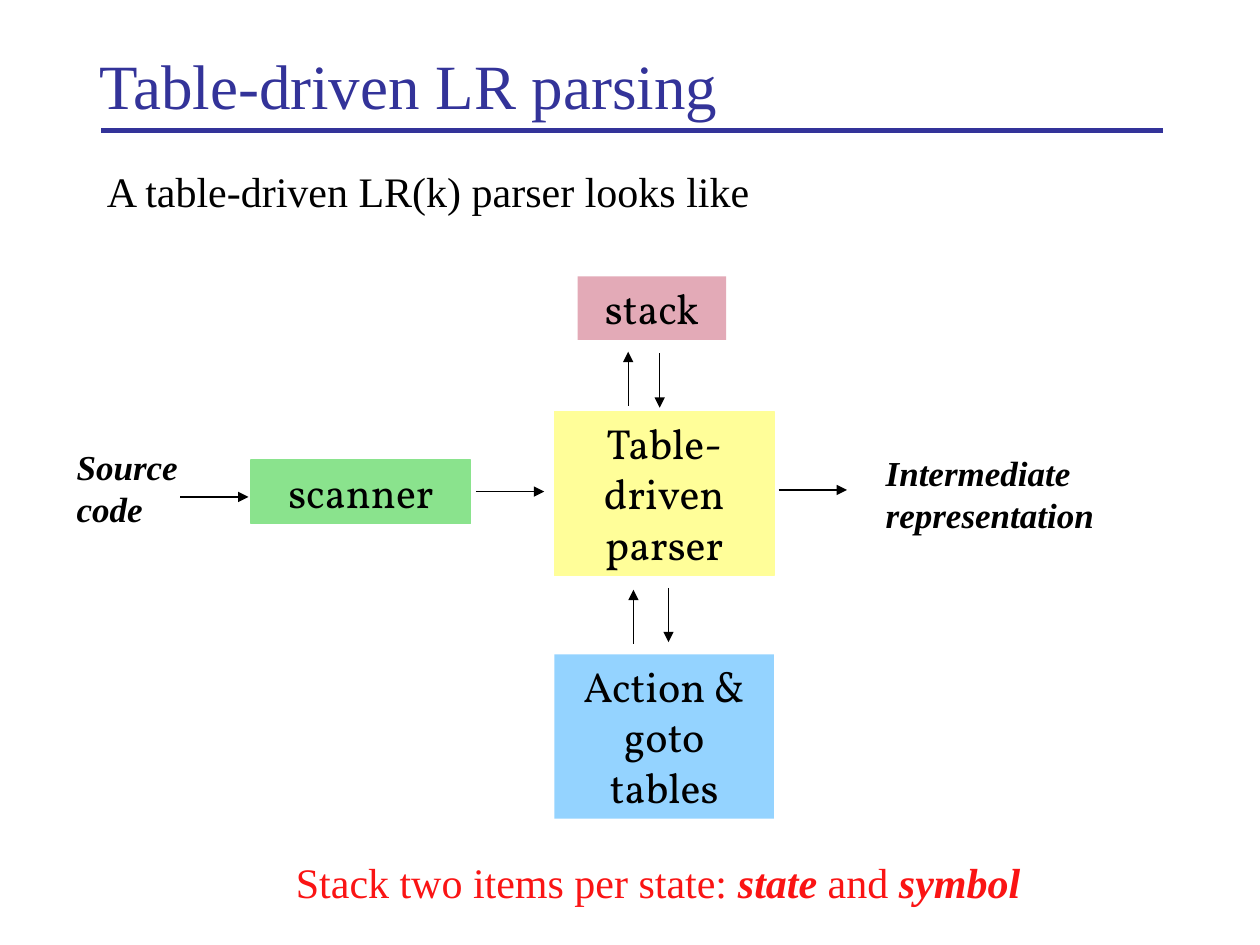
"""Builds the slide on table-driven LR parsing with its parser diagram."""
from lxml.etree import SubElement
from pptx import Presentation
from pptx.dml.color import RGBColor
from pptx.enum.shapes import MSO_CONNECTOR, MSO_SHAPE
from pptx.enum.text import MSO_ANCHOR, MSO_AUTO_SIZE, PP_ALIGN
from pptx.oxml.ns import qn
from pptx.util import Pt

COLORS = {
    "title": "333399", "ink": "000000", "note": "FA1414",
    "parser": "FFFE99", "tables": "94D3FF", "scanner": "8AE38D", "stack": "E3AAB7",
}
SERIF, DISPLAY = "Times New Roman", "Vollkorn"


def write(holder, runs, font, size, color, align=PP_ALIGN.LEFT, wrap=True,
          anchor=MSO_ANCHOR.TOP, fit=MSO_AUTO_SIZE.NONE):
    frame = holder.text_frame
    frame_format = {
        "word_wrap": wrap, "vertical_anchor": anchor, "auto_size": fit,
        "margin_left": Pt(7.2), "margin_right": Pt(7.2),
        "margin_top": Pt(3.6), "margin_bottom": Pt(3.6),
    }
    for name, value in frame_format.items():
        setattr(frame, name, value)
    paragraph = frame.paragraphs[0]
    paragraph.alignment = align
    for words, emphasis in runs:
        run = paragraph.add_run()
        run.text = words
        run.font.color.rgb = RGBColor.from_string(COLORS[color])
        run_format = {"name": font, "size": Pt(size), "bold": emphasis, "italic": emphasis}
        for name, value in run_format.items():
            setattr(run.font, name, value)


def draw_line(x1, y1, x2, y2, color, width, arrow=True):
    line = slide.shapes.add_connector(
        MSO_CONNECTOR.STRAIGHT, Pt(x1), Pt(y1), Pt(x2), Pt(y2))
    line.line.color.rgb = RGBColor.from_string(COLORS[color])
    line.line.width = Pt(width)
    if arrow:
        SubElement(line.line._get_or_add_ln(), qn("a:tailEnd"), type="triangle")
    SubElement(line._element.spPr, qn("a:effectLst"))


presentation = Presentation()
presentation.slide_width, presentation.slide_height = Pt(720), Pt(540)
slide = presentation.slides.add_slide(presentation.slide_layouts[5])

draw_line(57.8, 74.8, 664.8, 74.8, "title", 3, arrow=False)

title = slide.shapes.title
title_place = {"left": Pt(49.5), "top": Pt(22.5), "width": Pt(612), "height": Pt(51)}
for side, length in title_place.items():
    setattr(title, side, length)
write(title, [("Table-driven LR parsing", False)], SERIF, 36, "title",
      anchor=MSO_ANCHOR.MIDDLE)

intro = slide.shapes.add_textbox(Pt(54), Pt(91), Pt(612), Pt(419))
write(intro, [("A table-driven LR(k) parser looks like", False)], SERIF, 24, "ink")

stages = [
    ("Table-driven parser", "parser", 316.8, 235, 125.5, 94),
    ("Action & goto tables", "tables", 316.8, 373.9, 125.5, 94),
    ("scanner", "scanner", 143.5, 262.9, 125.5, 36.3),
    ("stack", "stack", 330, 157.9, 85, 36.3),
]
for label, color, left, top, width, height in stages:
    stage = slide.shapes.add_shape(
        MSO_SHAPE.RECTANGLE, Pt(left), Pt(top), Pt(width), Pt(height))
    stage.shadow.inherit = False
    stage.fill.solid()
    stage.fill.fore_color.rgb = RGBColor.from_string(COLORS[color])
    if color in ("parser", "scanner"):
        stage.line.color.rgb = RGBColor.from_string(COLORS[color])
        stage.line.width = Pt(0.75)
    else:
        stage.line.fill.background()
    write(stage, [(label, False)], DISPLAY, 24, "ink", PP_ALIGN.CENTER,
          fit=MSO_AUTO_SIZE.SHAPE_TO_FIT_TEXT)

for label, left, top, width in [
    ("Source code", 36.7, 251.3, 113.5),
    ("Intermediate representation", 499, 254.2, 192),
]:
    data = slide.shapes.add_textbox(Pt(left), Pt(top), Pt(width), Pt(55.5))
    write(data, [(label, True)], SERIF, 20, "ink", fit=MSO_AUTO_SIZE.SHAPE_TO_FIT_TEXT)

FLOW, EXCHANGE = 39, 31
for x, y in [(272, 280.9), (445, 280), (103, 284)]:
    draw_line(x, y, x + FLOW, y, "ink", 0.75)
for x, y, step in [
    (359, 232, -EXCHANGE), (362, 368, -EXCHANGE),
    (377, 202, EXCHANGE), (382, 336, EXCHANGE),
]:
    draw_line(x, y, x, y + step, "ink", 0.75)

note = slide.shapes.add_textbox(Pt(162), Pt(486), Pt(428.4), Pt(36))
write(note, [("Stack two items per state: ", False), ("state", True),
             (" and ", False), ("symbol", True)],
      SERIF, 24, "note", wrap=False, fit=MSO_AUTO_SIZE.SHAPE_TO_FIT_TEXT)

presentation.save("out.pptx")
